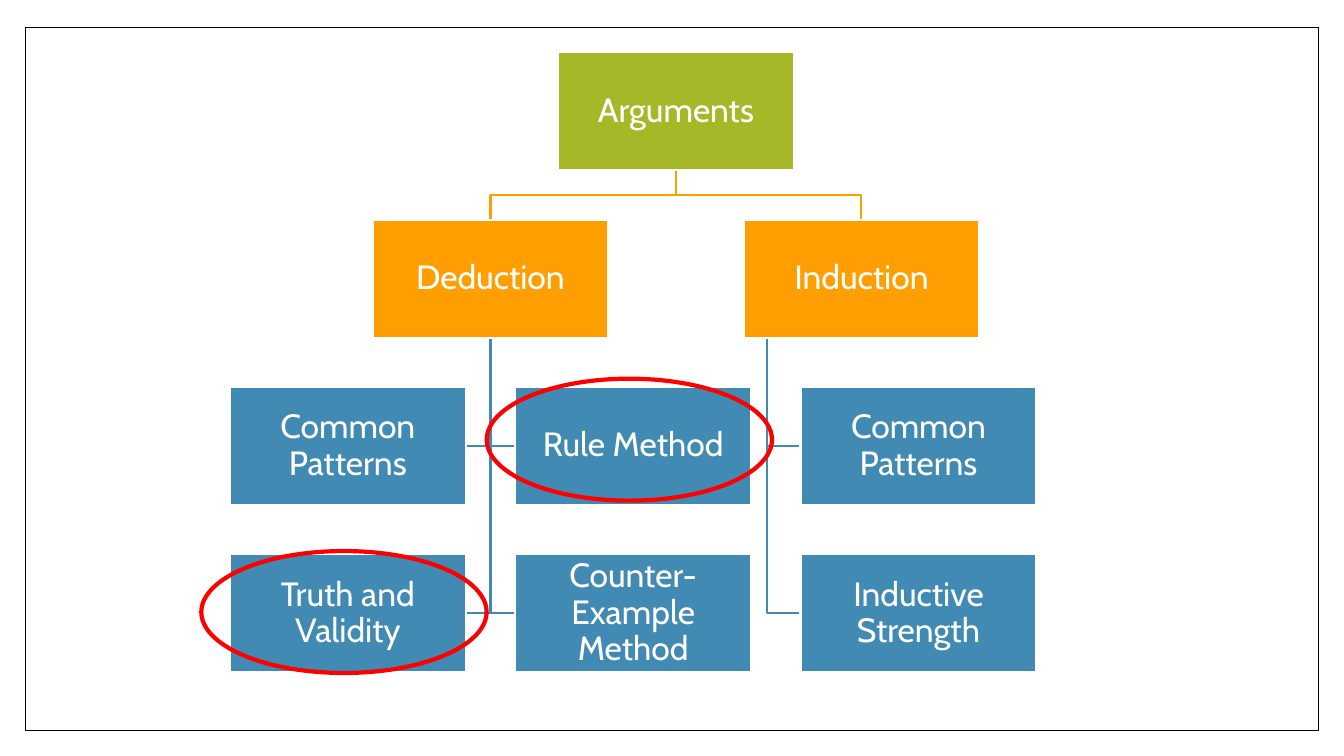
from pptx import Presentation, util as u
from pptx.dml.color import RGBColor
from pptx.enum import shapes, text

COLORS = {"white": "FFFFFF", "black": "000000", "green": "A6B727",
          "orange": "FE9E00", "blue": "418AB3", "red": "FF0000"}


class TreeSlide:
    """Draws a tree chart on a grid of columns and rows, in inches."""

    font, size = "Cabin", 24
    left, top = 2.28, 0.52
    column_pitch, row_pitch = 2.83, 1.66
    box_width, box_height = 2.34, 1.17

    def __init__(self, presentation):
        self.width = presentation.slide_width.inches
        self.height = presentation.slide_height.inches
        self.slide = presentation.slides.add_slide(presentation.slide_layouts[6])

    def corner(self, column, row):
        return self.left + column * self.column_pitch, self.top + row * self.row_pitch

    def outline(self, shape, fill, line, points):
        shape.shadow.inherit = False
        if fill:
            shape.fill.solid()
            shape.fill.fore_color.rgb = RGBColor.from_string(COLORS[fill])
        else:
            shape.fill.background()
        shape.line.color.rgb = RGBColor.from_string(COLORS[line])
        shape.line.width = u.Pt(points)
        return shape

    def preset(self, kind, area, fill, line, points):
        shape = self.slide.shapes.add_shape(kind, *map(u.Inches, area))
        return self.outline(shape, fill, line, points)

    def frame(self, x, y, width, height):
        area = (x * self.width, y * self.height, width * self.width, height * self.height)
        self.preset(shapes.MSO_SHAPE.RECTANGLE, area, "white", "black", 1)

    def box(self, label, column, row, fill):
        area = (*self.corner(column, row), self.box_width, self.box_height)
        shape = self.preset(shapes.MSO_SHAPE.RECTANGLE, area, fill, "white", 1.5)
        frame = shape.text_frame
        frame.word_wrap = True
        frame.vertical_anchor = text.MSO_ANCHOR.MIDDLE
        frame.margin_left = frame.margin_right = u.Inches(0.02)
        frame.margin_top = frame.margin_bottom = u.Inches(0.02)
        paragraph = frame.paragraphs[0]
        paragraph.text = label
        paragraph.alignment = text.PP_ALIGN.CENTER
        paragraph.line_spacing = 0.9
        paragraph.font.name = self.font
        paragraph.font.size = u.Pt(self.size)
        paragraph.font.color.rgb = RGBColor.from_string(COLORS["white"])

    def path_line(self, points, color):
        start, *rest = [(u.Inches(x), u.Inches(y)) for x, y in points]
        builder = self.slide.shapes.build_freeform(*start)
        builder.add_line_segments(rest, close=False)
        self.outline(builder.convert_to_shape(), None, color, 1.5)

    def branch(self, parent, child, color):
        (x1, y1), (x2, y2) = self.corner(*parent), self.corner(*child)
        x1, x2 = x1 + self.box_width / 2, x2 + self.box_width / 2
        y1 += self.box_height
        middle = (y1 + y2) / 2
        self.path_line([(x1, y1), (x1, middle), (x2, middle), (x2, y2)], color)

    def hang(self, parent, child, share, color):
        (x1, y1), (x2, y2) = self.corner(*parent), self.corner(*child)
        x1 += share * self.box_width
        x2 += self.box_width if x2 < x1 else 0
        y2 += self.box_height / 2
        self.path_line([(x1, y1 + self.box_height), (x1, y2), (x2, y2)], color)

    def ring(self, column, row):
        area = (*self.corner(column, row), self.column_pitch, 1.21)
        self.preset(shapes.MSO_SHAPE.OVAL, area, None, "red", 3)


def main():
    presentation = Presentation()
    presentation.slide_width, presentation.slide_height = u.Inches(13.33), u.Inches(7.5)
    tree = TreeSlide(presentation)
    deduction, induction = (0.5, 1), (1.8, 1)
    arguments = ((deduction[0] + induction[0]) / 2, 0)
    leaves = [("Common Patterns", 0, 2), ("Rule Method", 1, 2),
              ("Truth and Validity", 0, 3), ("Counter-Example Method", 1, 3),
              ("Common Patterns", 2, 2), ("Inductive Strength", 2, 3)]

    tree.frame(0.019, 0.036, 0.962, 0.93)
    for label, column, row in leaves:
        parent, share = (induction, 0.1) if column == 2 else (deduction, 0.5)
        tree.hang(parent, (column, row), share, "blue")
    for child in (deduction, induction):
        tree.branch(arguments, child, "orange")

    tree.box("Arguments", *arguments, "green")
    tree.box("Deduction", *deduction, "orange")
    tree.box("Induction", *induction, "orange")
    for label, column, row in leaves:
        tree.box(label, column, row, "blue")
    tree.ring(-0.1, 2.98)
    tree.ring(0.9, 1.95)
    presentation.save("out.pptx")


if __name__ == "__main__":
    main()
